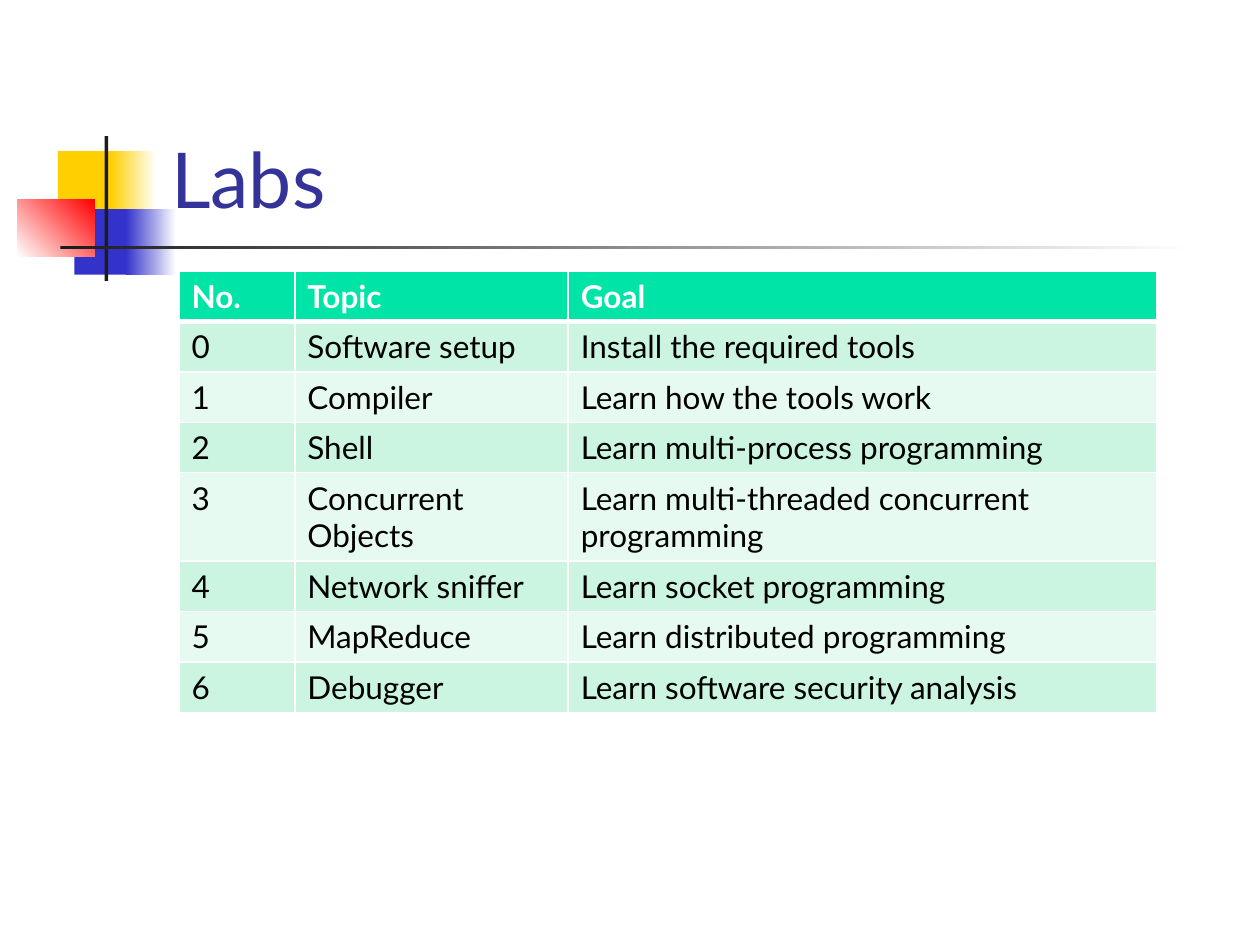
from lxml.etree import SubElement
from pptx import Presentation
from pptx.dml.color import RGBColor
from pptx.enum.shapes import MSO_SHAPE
from pptx.enum.text import MSO_ANCHOR
from pptx.oxml.ns import qn
from pptx.util import Inches, Pt

FONT = "Lato"
WHITE, BLACK, CHARCOAL = "FFFFFF", "000000", "1C1C1C"
YELLOW, BLUE, RED, TITLE_BLUE = "FFCF01", "3333CC", "FF0000", "333399"
HEADER_GREEN, BANDS = "00E4A8", ("E7FAF1", "CCF5E1")

MOTIF = [
    ((0.46, 1.2, 0.48, 0.52), [YELLOW], 0),
    ((0.88, 1.2, 0.36, 0.52), [YELLOW, WHITE], 0),
    ((0.59, 1.66, 0.46, 0.52), [BLUE], 0),
    ((1, 1.66, 0.4, 0.52), [BLUE, WHITE], 0),
    ((0.14, 1.58, 0.61, 0.46), [WHITE, RED], 45),
    ((0.83, 1.08, 0.03, 1.15), [CHARCOAL], 0),
    ((0.48, 1.95, 9, 0.03), [CHARCOAL, WHITE], 0),
]

COLUMN_WIDTHS = (0.92, 2.17, 4.67)
ROW_HEIGHT = 0.4
LABS = [
    ("No.", "Topic", "Goal"),
    ("0", "Software setup", "Install the required tools"),
    ("1", "Compiler", "Learn how the tools work"),
    ("2", "Shell", "Learn multi-process programming"),
    ("3", "Concurrent\nObjects", "Learn multi-threaded concurrent programming"),
    ("4", "Network sniffer", "Learn socket programming"),
    ("5", "MapReduce", "Learn distributed programming"),
    ("6", "Debugger", "Learn software security analysis"),
]


def color(hex_code):
    """Turn a hex string into a colour."""
    return RGBColor.from_string(hex_code)


def write_text(frame, text, size=18, hex_code=BLACK, bold=False):
    """Fill a text frame, one paragraph per line."""
    frame.word_wrap = True
    frame.text = text
    for paragraph in frame.paragraphs:
        font = paragraph.runs[0].font
        font.name, font.size, font.bold = FONT, Pt(size), bold
        font.color.rgb = color(hex_code)


def add_block(slide, box, hex_codes, angle):
    """Add a borderless rectangle with a solid or two-colour gradient fill."""
    block = slide.shapes.add_shape(MSO_SHAPE.RECTANGLE, *map(Inches, box))
    block.shadow.inherit = False
    block.line.fill.background()
    if len(hex_codes) == 1:
        block.fill.solid()
        block.fill.fore_color.rgb = color(hex_codes[0])
        return
    block.fill.gradient()
    block.fill.gradient_angle = angle
    for stop, hex_code in zip(block.fill.gradient_stops, hex_codes):
        stop.color.rgb = color(hex_code)


def add_title(slide, text):
    """Add the title, resting on the bottom of its box."""
    title = slide.shapes.add_textbox(*map(Inches, (1.26, 0.23, 8.52, 1.6)))
    title.text_frame.vertical_anchor = MSO_ANCHOR.BOTTOM
    write_text(title.text_frame, text, size=44, hex_code=TITLE_BLUE)


def set_borders(cell, widths):
    """Draw white cell borders, widths in points by side."""
    properties = cell._tc.get_or_add_tcPr()
    for side, width in widths.items():
        border = SubElement(properties, qn(f"a:ln{side}"), w=str(Pt(width)))
        fill = SubElement(border, qn("a:solidFill"))
        SubElement(fill, qn("a:srgbClr"), val=WHITE)


def style_cell(cell, text, row):
    """Write and colour one cell as header or banded body."""
    is_header = row == 0
    set_borders(cell, {"L": 1, "R": 1, "T": 3 if row == 1 else 1, "B": 3 if is_header else 1})
    cell.fill.solid()
    cell.fill.fore_color.rgb = color(HEADER_GREEN if is_header else BANDS[row % 2])
    write_text(cell.text_frame, text, hex_code=WHITE if is_header else BLACK, bold=is_header)


def add_lab_table(slide):
    """Add the table of labs."""
    size = sum(COLUMN_WIDTHS), ROW_HEIGHT * len(LABS)
    frame = slide.shapes.add_table(
        len(LABS), len(COLUMN_WIDTHS), *map(Inches, (1.42, 2.15, *size)))
    table = frame.table
    for column, width in zip(table.columns, COLUMN_WIDTHS):
        column.width = Inches(width)
    for row, texts in enumerate(LABS):
        table.rows[row].height = Inches(ROW_HEIGHT)
        for column, text in enumerate(texts):
            style_cell(table.cell(row, column), text, row)


def main():
    """Build and save the slide."""
    deck = Presentation()
    deck.slide_width, deck.slide_height = Inches(10), Inches(7.5)
    slide = deck.slides.add_slide(deck.slide_layouts[6])
    for box, hex_codes, angle in MOTIF:
        add_block(slide, box, hex_codes, angle)
    add_title(slide, "Labs")
    add_lab_table(slide)
    deck.save("out.pptx")


if __name__ == "__main__":
    main()
